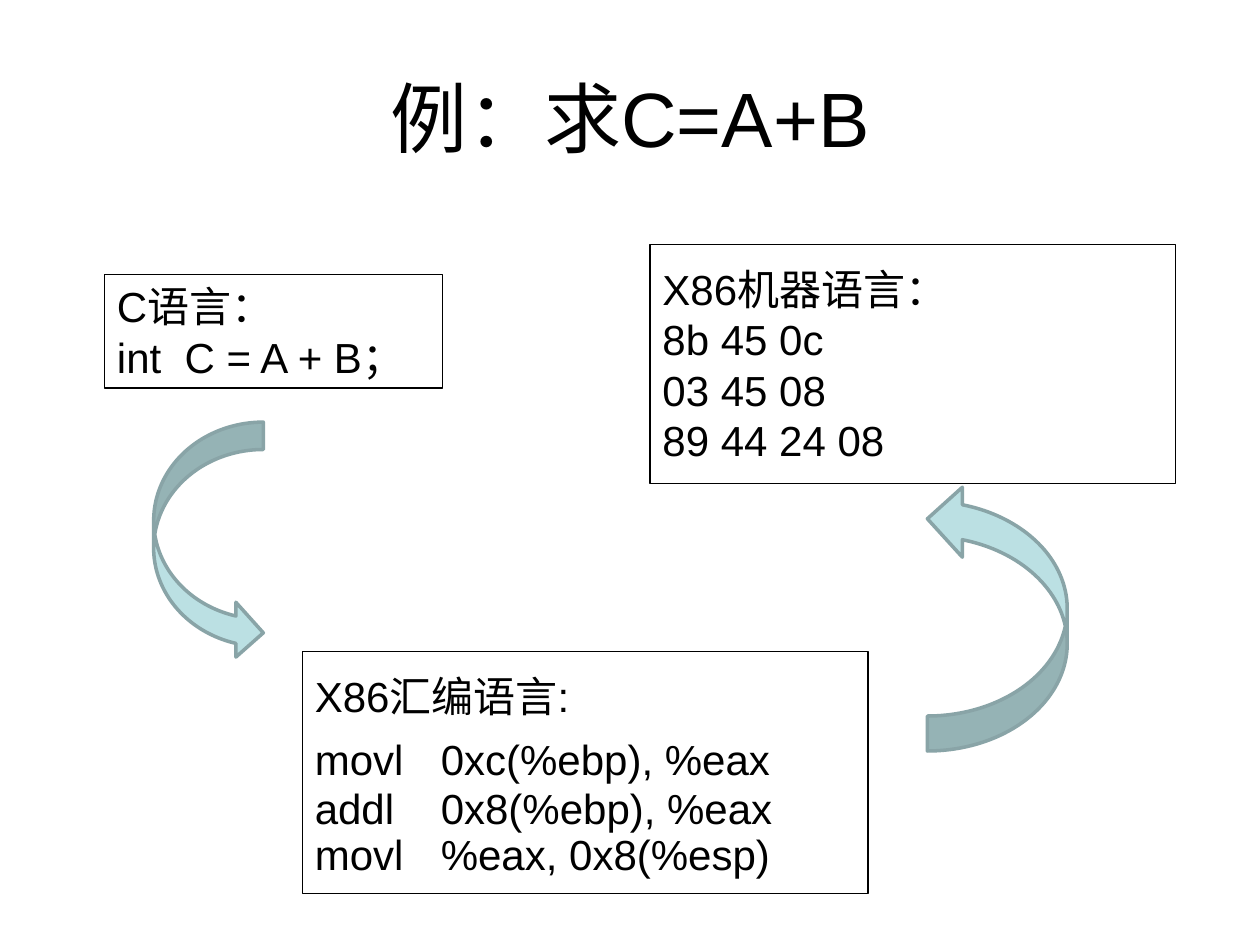
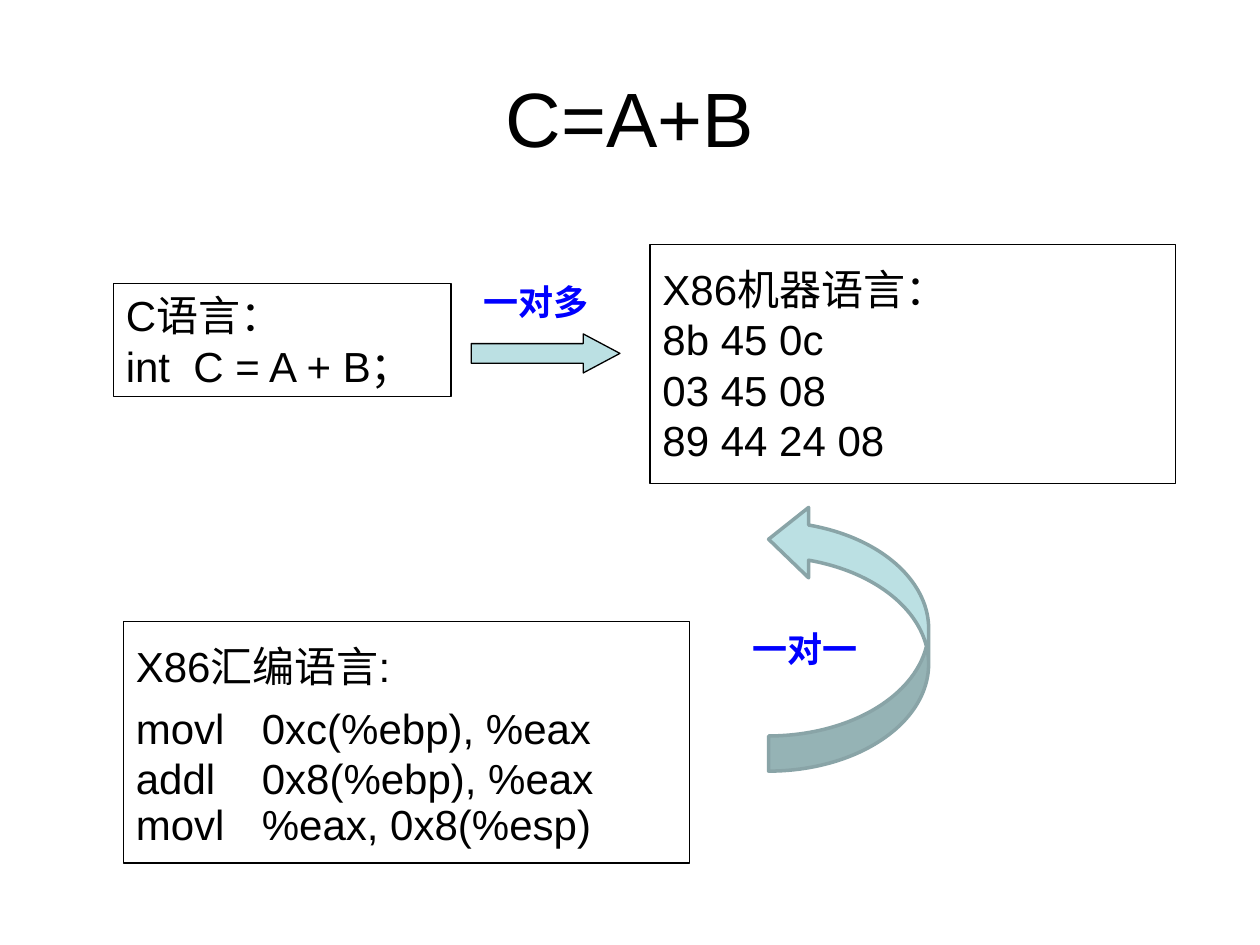
import pptx
import pptx.util
import pptx.dml.color
import pptx.enum.shapes
import pptx.enum.text

Inches = pptx.util.Inches
Pt = pptx.util.Pt
Color = pptx.dml.color.RGBColor
Kind = pptx.enum.shapes.MSO_SHAPE

BLACK = Color(0x00, 0x00, 0x00)
BLUE = Color(0x00, 0x00, 0xFF)
AQUA = Color(0xBB, 0xE0, 0xE3)
TEAL = Color(0x89, 0xA4, 0xA7)
FONT = "Arial"

SOURCE = [("C语言：", 0, 1), ("int  C = A + B；", 0, 1)]
BINARY = [("X86机器语言：", 0, 1), ("8b 45 0c", 0, 1), ("03 45 08", 0, 1),
          ("89 44 24 08", 0, 1)]
ASSEMBLY = [("X86汇编语言:", 0, 1), ("movl\t0xc(%ebp), %eax", 15, 0.7),
            ("addl\t0x8(%ebp), %eax", 15, 0.4),
            ("movl\t%eax, 0x8(%esp)", 15, 0.4)]


class Deck:
    """Draws titles, code boxes, labels and arrows in one style."""

    def __init__(self):
        self.prs = pptx.Presentation()
        self.prs.slide_width = Inches(10)
        self.prs.slide_height = Inches(7.5)
        self.slide = None

    def start(self, title):
        self.slide = self.prs.slides.add_slide(self.prs.slide_layouts[6])
        box = self.text(0.5, 0.3, 9, 1.25, [(title, 0, 1)], 44)
        frame = box.text_frame
        frame.vertical_anchor = pptx.enum.text.MSO_ANCHOR.MIDDLE
        frame.paragraphs[0].alignment = pptx.enum.text.PP_ALIGN.CENTER

    def text(self, left, top, width, height, lines, size=24, color=BLACK,
             bold=False, pad=0.05):
        box = self.slide.shapes.add_textbox(
            Inches(left), Inches(top), Inches(width), Inches(height))
        frame = box.text_frame
        frame.word_wrap = True
        frame.margin_left = frame.margin_right = Inches(0.1)
        frame.margin_top = frame.margin_bottom = Inches(pad)
        for row, (words, before, spacing) in enumerate(lines):
            para = frame.add_paragraph() if row else frame.paragraphs[0]
            para.space_before = Pt(before)
            para.line_spacing = float(spacing)
            run = para.add_run()
            run.text = words
            run.font.name = FONT
            run.font.size = Pt(size)
            run.font.bold = bold
            run.font.color.rgb = color
        return box

    def code(self, left, top, width, height, lines, pad=0.15):
        box = self.text(left, top, width, height, lines, pad=pad)
        box.text_frame.auto_size = pptx.enum.text.MSO_AUTO_SIZE.SHAPE_TO_FIT_TEXT
        box.line.color.rgb = BLACK
        box.line.width = Pt(0.75)

    def label(self, left, top, width, words):
        self.text(left, top, width, 0.44, [(words, 0, 1)], 20, BLUE, True)

    def arrow(self, kind, left, top, width, height, line, weight, adjust=(),
              turn=0):
        shape = self.slide.shapes.add_shape(
            kind, Inches(left), Inches(top), Inches(width), Inches(height))
        shape.shadow.inherit = False
        shape.fill.solid()
        shape.fill.fore_color.rgb = AQUA
        shape.line.color.rgb = line
        shape.line.width = Pt(weight)
        shape.rotation = turn
        for spot, value in enumerate(adjust):
            shape.adjustments[spot] = value

    def curve(self, left, top, width, height, adjust=(), turn=0):
        self.arrow(Kind.CURVED_RIGHT_ARROW, left, top, width, height, TEAL, 2,
                   adjust, turn)

    def stages(self, source, assembly):
        self.code(*assembly, 4.49, 1.92, ASSEMBLY)
        self.code(5.16, 1.94, 4.17, 1.9, BINARY)
        self.code(*source, 2.68, 0.9, SOURCE, 0.05)


def main():
    deck = Deck()

    deck.start("例：求C=A+B")
    deck.stages((0.83, 2.18), (2.4, 5.17))
    deck.curve(1.22, 3.35, 0.87, 1.89)
    deck.curve(7.36, 3.84, 1.11, 2.12, turn=180)

    deck.start("C=A+B")
    deck.stages((0.9, 2.25), (0.98, 4.93))
    deck.curve(6.1, 4, 1.27, 2.12, (0.22, 0.44, 0.25), 180)
    deck.arrow(Kind.RIGHT_ARROW, 3.74, 2.65, 1.18, 0.31, BLACK, 0.75,
               (0.5, 0.94))
    deck.label(3.74, 2.18, 1.1, "一对多")
    deck.label(5.87, 4.93, 1.18, "一对一")

    deck.prs.save("out.pptx")


if __name__ == "__main__":
    main()
